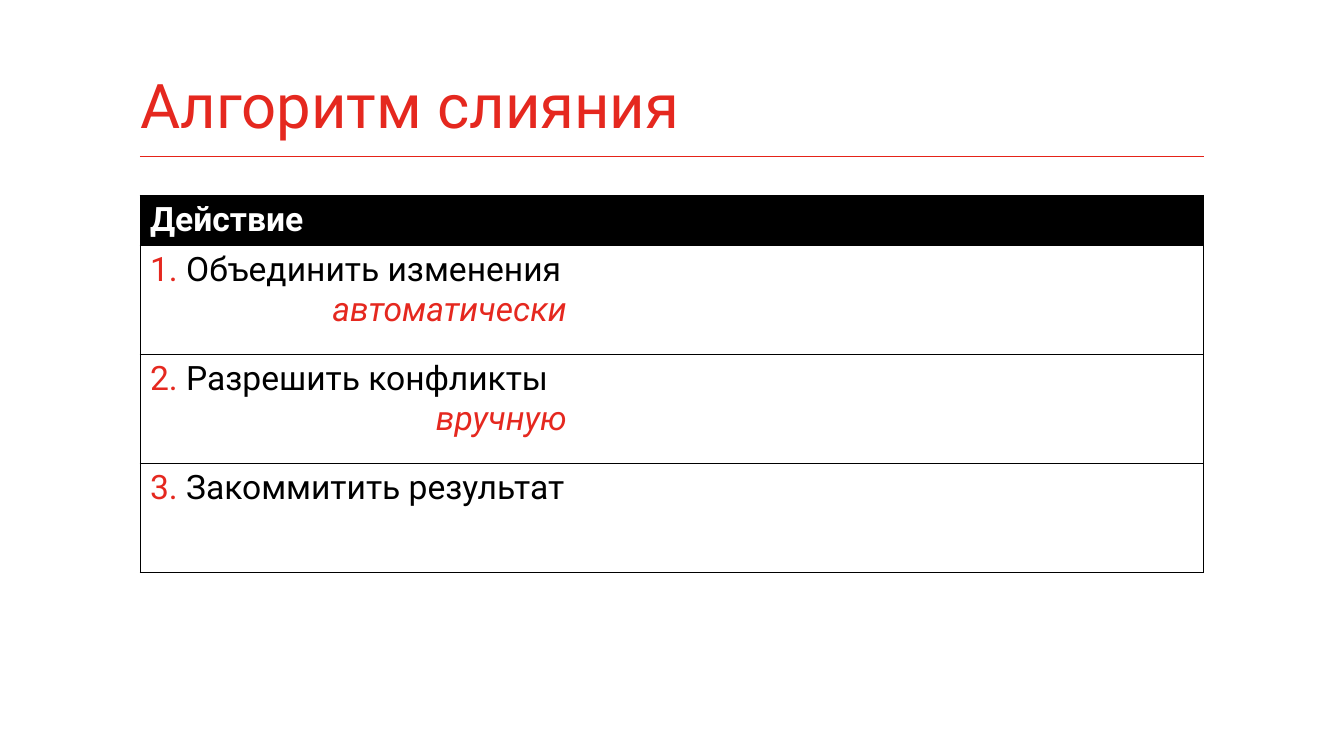
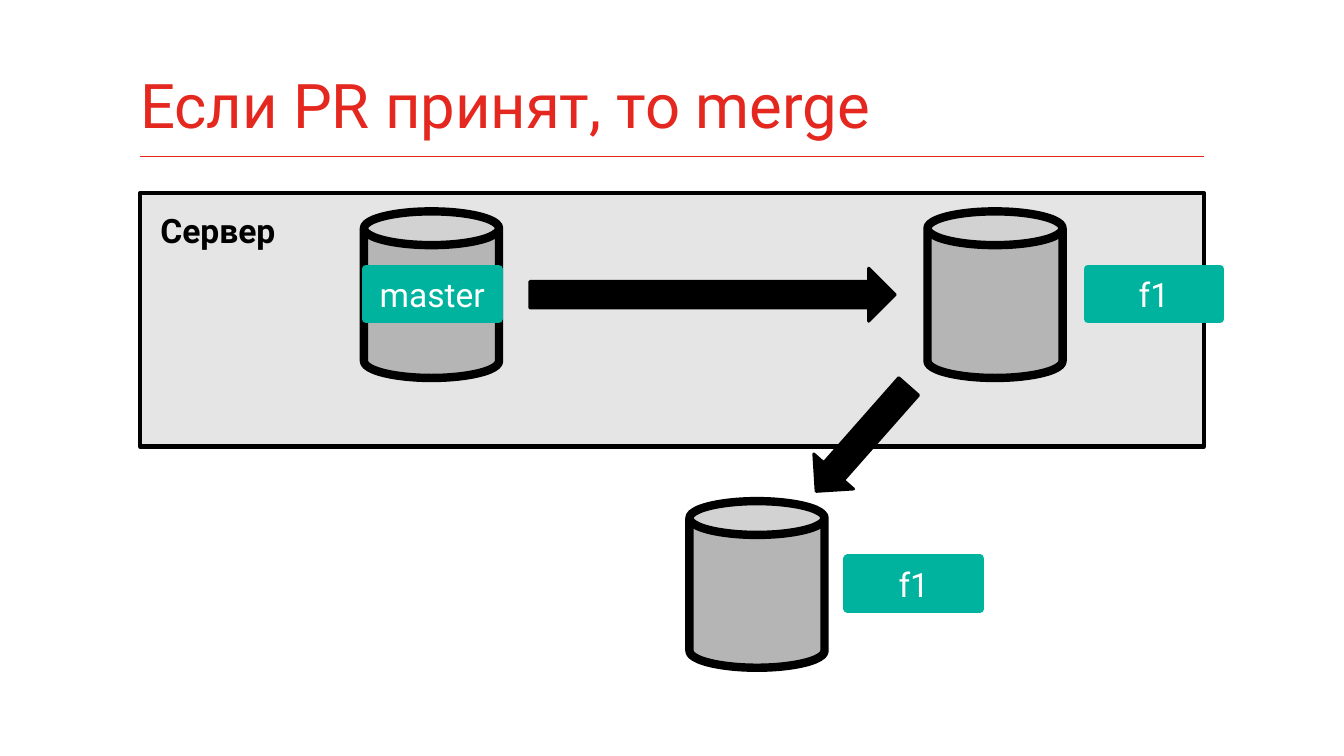
"""Build two slides on merging: the merge steps and an accepted pull request."""
from dataclasses import dataclass

from lxml.etree import SubElement
from pptx import Presentation
from pptx.dml.color import RGBColor
from pptx.enum.shapes import MSO_CONNECTOR, MSO_SHAPE
from pptx.enum.text import MSO_ANCHOR, MSO_AUTO_SIZE, PP_ALIGN
from pptx.oxml.ns import qn
from pptx.util import Pt


@dataclass(frozen=True)
class Theme:
    font: str = "Roboto"
    title_size: Pt = Pt(44)
    text_size: Pt = Pt(24)
    accent: RGBColor = RGBColor(0xE5, 0x28, 0x1F)
    rule: RGBColor = RGBColor(0xE5, 0x23, 0x19)
    ink: RGBColor = RGBColor(0, 0, 0)
    paper: RGBColor = RGBColor(0xFF, 0xFF, 0xFF)
    storage: RGBColor = RGBColor(0xB5, 0xB5, 0xB5)
    branch: RGBColor = RGBColor(0x00, 0xB3, 0x9F)
    left: Pt = Pt(100)
    width: Pt = Pt(760)


theme = Theme()
deck = Presentation()
deck.slide_width, deck.slide_height = Pt(960), Pt(540)


def add_titled_slide(heading):
    slide = deck.slides.add_slide(deck.slide_layouts[5])
    title = slide.shapes.title
    title.left, title.top, title.width, title.height = theme.left, Pt(26), theme.width, Pt(85)
    frame = title.text_frame
    frame.text = heading
    frame.word_wrap = True
    frame.auto_size = MSO_AUTO_SIZE.NONE
    frame.vertical_anchor = MSO_ANCHOR.BOTTOM
    frame.margin_left = frame.margin_right = 0
    frame.margin_top, frame.margin_bottom = Pt(3.6), Pt(10.5)
    paragraph = frame.paragraphs[0]
    paragraph.alignment = PP_ALIGN.LEFT
    paragraph.font.name, paragraph.font.size = theme.font, theme.title_size
    paragraph.font.color.rgb = theme.accent
    underline = slide.shapes.add_connector(
        MSO_CONNECTOR.STRAIGHT, theme.left, Pt(111.5), theme.left + theme.width, Pt(111.5))
    underline.line.color.rgb, underline.line.width = theme.rule, Pt(0.75)
    SubElement(underline._element.spPr, qn("a:effectLst"))
    return slide


def add_figure(slide, preset, box, fill, outline, weight):
    figure = slide.shapes.add_shape(preset, *(Pt(length) for length in box))
    figure.shadow.inherit = False
    figure.fill.solid()
    figure.fill.fore_color.rgb = fill
    figure.line.color.rgb, figure.line.width = outline, Pt(weight)
    return figure


merge_slide = add_titled_slide("Алгоритм слияния")
steps = [
    ("1. ", "Объединить изменения", "автоматически"),
    ("2. ", "Разрешить конфликты", "вручную"),
    ("3. ", "Закоммитить результат", None),
]
column_widths = [312, 176, 272]
row_heights = [36] + [77.8] * len(steps)
steps_frame = merge_slide.shapes.add_table(
    len(row_heights), len(column_widths), theme.left, Pt(139.5), theme.width, Pt(sum(row_heights)))
steps_table = steps_frame.table
steps_table.horz_banding = False
plain_style = "{2D5ABB26-0587-4C30-8999-92F81FD0307C}"
steps_frame._element.find(".//" + qn("a:tableStyleId")).text = plain_style
for column, width in zip(steps_table.columns, column_widths):
    column.width = Pt(width)

last_column = len(column_widths) - 1
for row_index, height in enumerate(row_heights):
    steps_table.rows[row_index].height = Pt(height)
    for column_index in range(len(column_widths)):
        cell = steps_table.cell(row_index, column_index)
        edges = {"a:lnL": column_index == 0, "a:lnR": column_index == last_column,
                 "a:lnT": True, "a:lnB": True}
        properties = cell._tc.get_or_add_tcPr()
        for edge, visible in edges.items():
            if visible:
                border = SubElement(properties, qn(edge), w=str(Pt(0.75)))
                border_fill = SubElement(border, qn("a:solidFill"))
                SubElement(border_fill, qn("a:srgbClr"), val=str(theme.ink))
        if row_index == 0:
            cell.fill.solid()
            cell.fill.fore_color.rgb = theme.ink
        else:
            cell.fill.background()

header = steps_table.cell(0, 0).text_frame.paragraphs[0]
header.text = "Действие"
header.font.name, header.font.size, header.font.bold = theme.font, theme.text_size, True
header.font.color.rgb = theme.paper

for row_index, (number, action, manner) in enumerate(steps, start=1):
    step_text = steps_table.cell(row_index, 0).text_frame
    step = step_text.paragraphs[0]
    step.font.name, step.font.size = theme.font, theme.text_size
    for words, color in ((number, theme.accent), (action, theme.ink)):
        run = step.add_run()
        run.text = words
        run.font.color.rgb = color
    if manner:
        remark = step_text.add_paragraph()
        remark.text = manner
        remark.alignment = PP_ALIGN.RIGHT
        remark.font.name, remark.font.size, remark.font.italic = theme.font, theme.text_size, True
        remark.font.color.rgb = theme.accent

request_slide = add_titled_slide("Если PR принят, то merge")
server = add_figure(request_slide, MSO_SHAPE.RECTANGLE, (100, 138, 760, 181),
                    theme.ink, theme.ink, 3)
server_color = server.fill._xPr.find(qn("a:solidFill")).find(qn("a:srgbClr"))
SubElement(server_color, qn("a:alpha"), val="10000")

for left, top in ((260, 151), (492.5, 358), (662.5, 151)):
    add_figure(request_slide, MSO_SHAPE.CAN, (left, top, 96.5, 119), theme.storage, theme.ink, 6)

for box, angle in (((566, 294.5, 100, 38), 131.4), ((378.5, 191.5, 261, 38), 0)):
    arrow = add_figure(request_slide, MSO_SHAPE.RIGHT_ARROW, box, theme.ink, theme.ink, 2)
    arrow.rotation = angle

server_label = request_slide.shapes.add_textbox(Pt(114.5), Pt(146), Pt(120), Pt(36)).text_frame
server_label.word_wrap = True
server_label.vertical_anchor = MSO_ANCHOR.BOTTOM
server_label.margin_left = 0
server_name = server_label.paragraphs[0]
server_name.text = "Сервер"
server_name.font.name, server_name.font.size, server_name.font.bold = theme.font, theme.text_size, True
server_name.font.color.rgb = theme.ink

for name, left, top in (("f1", 605.5, 399), ("f1", 777, 192), ("master", 261.5, 192)):
    badge = add_figure(request_slide, MSO_SHAPE.RECTANGLE, (left, top, 94.5, 36),
                       theme.branch, theme.branch, 6)
    badge.text_frame.vertical_anchor = MSO_ANCHOR.MIDDLE
    branch_name = badge.text_frame.paragraphs[0]
    branch_name.text = name
    branch_name.alignment = PP_ALIGN.CENTER
    branch_name.font.name, branch_name.font.size = theme.font, theme.text_size
    branch_name.font.color.rgb = theme.paper

deck.save("out.pptx")
